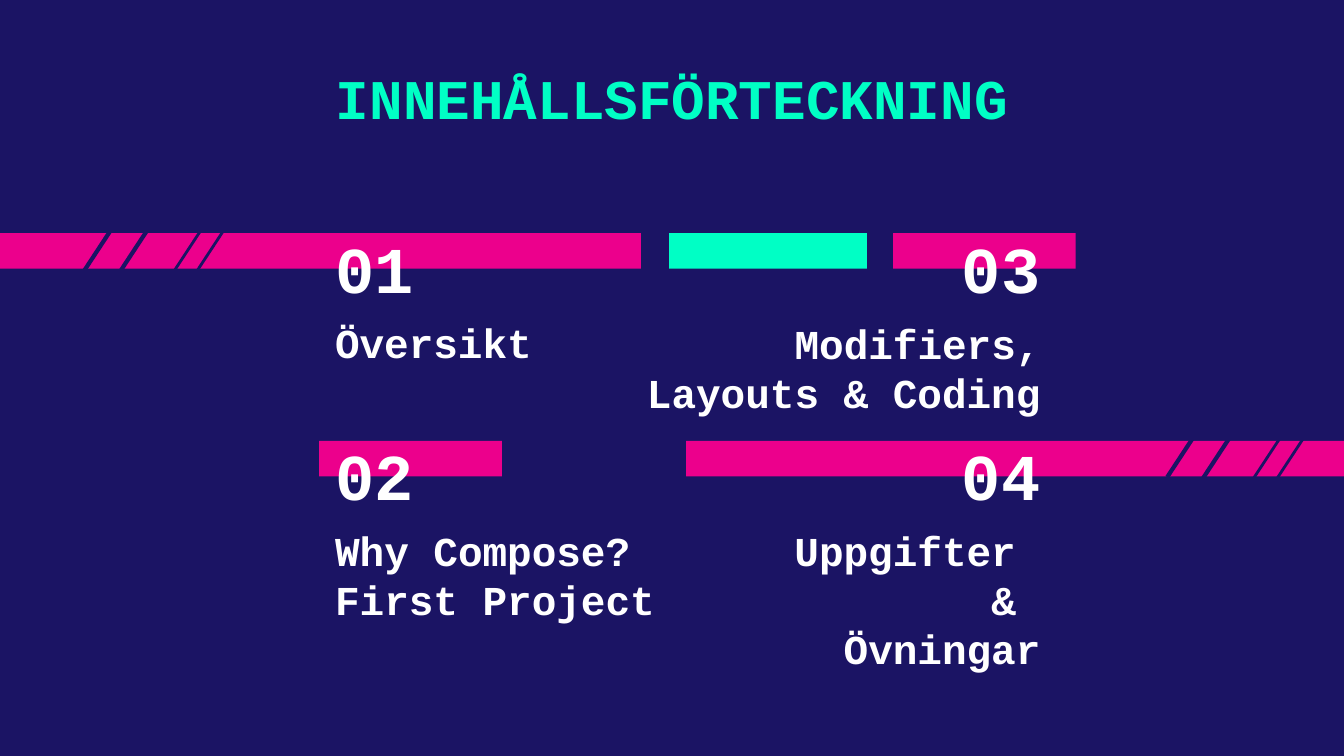
from typing import NamedTuple
from pptx import Presentation
from pptx.dml.color import RGBColor as Rgb
from pptx.enum.shapes import MSO_CONNECTOR as Link, MSO_SHAPE as Kind
from pptx.enum.text import MSO_ANCHOR as Anchor, PP_ALIGN as Align
from pptx.oxml.ns import qn
from pptx.util import Emu, Pt
from lxml.etree import SubElement as Sub

PX = 4572
NAVY = Rgb(0x1B, 0x14, 0x64)
PINK = Rgb(0xEC, 0x00, 0x8C)
MINT = Rgb(0x00, 0xFF, 0xC5)
WHITE = Rgb(0xFF, 0xFF, 0xFF)
ROWS = (347, 656)
LEFT, RIGHT, MID = Align.LEFT, Align.RIGHT, Align.CENTER


class Bar(NamedTuple):
    x: int
    y: int
    w: int
    fill: Rgb


class Slash(NamedTuple):
    x: int
    y: int
    wide: float


class Label(NamedTuple):
    words: str
    x: int
    y: int
    w: int
    h: int
    size: int
    side: Align
    color: Rgb = WHITE
    pad: int = 0
    hold: Anchor = Anchor.TOP


class Topic(NamedTuple):
    num: str
    words: str
    x: int
    row: int
    side: Align
    text_x: int
    text_y: int
    text_w: int


BARS = [
    Bar(0, ROWS[0], 954, PINK),
    Bar(1329, ROWS[0], 272, PINK),
    Bar(475, ROWS[1], 272, PINK),
    Bar(1021, ROWS[1], 979, PINK),
    Bar(996, ROWS[0], 294, MINT),
]
SLASHES = [
    Slash(206, 280, 2.25), Slash(238, 314, 2.25),
    Slash(306, 332, 1.5), Slash(340, 332, 1.5),
    Slash(1850, 538, 2.25), Slash(1882, 572, 2.25),
    Slash(1914, 638, 1.5), Slash(1949, 638, 1.5),
]
TOPICS = [
    Topic("01", "Översikt", 479, 404, LEFT, 479, 472, 474),
    Topic("03", "Modifiers, Layouts & Coding", 1094, 404, RIGHT, 893, 474, 675),
    Topic("02", "Why Compose?\nFirst Project", 479, 713, LEFT, 479, 782, 676),
    Topic("04", "Uppgifter \v& \vÖvningar", 1094, 713, RIGHT, 1094, 782, 474),
]


def px(*sizes: int) -> list[Emu]:
    return [Emu(size * PX) for size in sizes]


def put(item: object, form: dict) -> None:
    for name, value in form.items():
        setattr(item, name, value)


def draw_bar(page, bar: Bar) -> None:
    shape = page.shapes.add_shape(Kind.RECTANGLE, *px(bar.x, bar.y, bar.w, 53))
    shape.shadow.inherit = False
    shape.fill.solid()
    shape.fill.fore_color.rgb = bar.fill
    shape.line.fill.background()


def draw_slash(page, cut: Slash) -> None:
    ends = px(cut.x, cut.y, cut.x - 113, cut.y + 172)
    line = page.shapes.add_connector(Link.STRAIGHT, *ends)
    line.line.color.rgb = NAVY
    line.line.width = Pt(cut.wide)
    Sub(line._element.spPr, qn("a:effectLst"))


def draw_label(page, label: Label) -> None:
    box = page.shapes.add_textbox(*px(label.x, label.y, label.w, label.h))
    frame = box.text_frame
    side, pad = px(20, label.pad)
    put(frame, {
        "word_wrap": True, "vertical_anchor": label.hold,
        "margin_left": side, "margin_right": side,
        "margin_top": pad, "margin_bottom": pad, "text": label.words,
    })
    for para in frame.paragraphs:
        para.alignment = label.side
        for run in para.runs:
            put(run.font, {"name": "Courier New", "size": Pt(label.size), "bold": True})
            run.font.color.rgb = label.color


def draw_topic(page, item: Topic) -> None:
    draw_label(page, Label(item.num, item.x, item.row, 474, 52, 35,
                           item.side, hold=Anchor.BOTTOM))
    draw_label(page, Label(item.words, item.text_x, item.text_y,
                           item.text_w, 94, 22, item.side))


def main() -> None:
    deck = Presentation()
    wide, high = px(2000, 1125)
    put(deck, {"slide_width": wide, "slide_height": high})
    page = deck.slides.add_slide(deck.slide_layouts[6])
    page.background.fill.solid()
    page.background.fill.fore_color.rgb = NAVY
    for bar in BARS:
        draw_bar(page, bar)
    draw_label(page, Label("INNEHÅLLSFÖRTECKNING", 280, 74, 1440, 146, 30,
                           MID, MINT, 20))
    for item in TOPICS:
        draw_topic(page, item)
    for cut in SLASHES:
        draw_slash(page, cut)
    deck.save("out.pptx")


if __name__ == "__main__":
    main()
